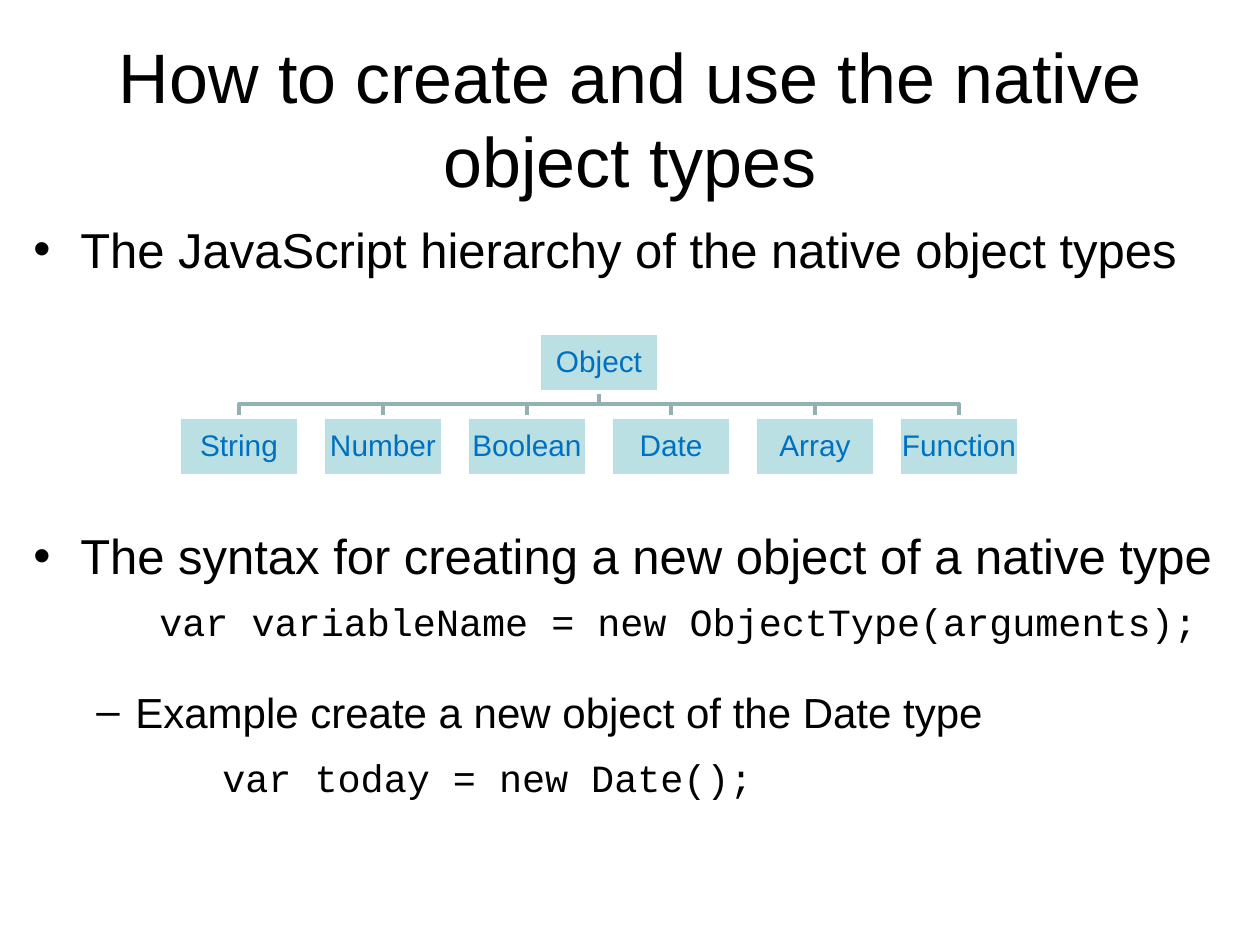
from dataclasses import dataclass

from lxml.etree import SubElement
from pptx import Presentation
from pptx.dml.color import RGBColor
from pptx.enum.shapes import MSO_SHAPE as Shape
from pptx.enum.text import MSO_ANCHOR as Anchor, PP_ALIGN as Align
from pptx.oxml.ns import qn
from pptx.util import Emu, Pt

PX = 914400 / 126
BLACK = RGBColor(0x00, 0x00, 0x00)
WHITE = RGBColor(0xFF, 0xFF, 0xFF)
TEAL = RGBColor(0xBB, 0xE0, 0xE3)
SLATE = RGBColor(0x93, 0xB1, 0xB3)
BLUE = RGBColor(0x00, 0x70, 0xC0)
SANS, MONO = "Arial", "Courier New"
NODE_W, NODE_H = 120, 59
ROOT_Y, CHILD_Y = 333, 417
CHILD_X, PITCH = 179, 144
TYPES = ("String", "Number", "Boolean", "Date", "Array", "Function")


@dataclass(frozen=True)
class Line:
    text: str
    size: int
    margin: int
    before: float
    font: str = SANS
    bullet: str = ""
    hanging: int = 0
    level: int = 0


@dataclass(frozen=True)
class Node:
    text: str
    x: int
    y: int

    @property
    def center(self) -> int:
        return self.x + NODE_W // 2


LINES = (
    Line("The JavaScript hierarchy of the native object types", 28, 47, 2.8,
         bullet="•", hanging=47),
    Line("The syntax for creating a new object of a native type", 28, 47, 141.5,
         bullet="•", hanging=47),
    Line("var variableName = new ObjectType(arguments);", 22, 126, 8, MONO),
    Line("Example create a new object of the Date type", 24, 102, 23.7,
         bullet="–", hanging=39, level=1),
    Line("var today = new Date();", 22, 189, 10, MONO, level=1),
)


def px(n: float) -> Emu:
    """Turn px into EMU."""
    return Emu(round(n * PX))


def add_run(p, text: str, size: int, color: RGBColor, font: str = SANS) -> None:
    """Add one styled run to a paragraph."""
    r = p.add_run()
    r.text = text
    r.font.size = Pt(size)
    r.font.name = font
    r.font.color.rgb = color


def add_box(s, x: int, y: int, w: int, h: int, anchor):
    """Add a wrapping text box and return its text frame."""
    tf = s.shapes.add_textbox(px(x), px(y), px(w), px(h)).text_frame
    tf.word_wrap = True
    tf.vertical_anchor = anchor
    return tf


def add_line(p, line: Line) -> None:
    """Fill a body paragraph with its indent, bullet and text."""
    p.level = line.level
    p.space_before = Pt(line.before)
    pPr = p._p.get_or_add_pPr()
    pPr.set("marL", str(px(line.margin)))
    pPr.set("indent", str(px(-line.hanging)))
    if line.bullet:
        SubElement(pPr, qn("a:buFont"), typeface=SANS)
        SubElement(pPr, qn("a:buChar"), char=line.bullet)
    else:
        SubElement(pPr, qn("a:buNone"))
    add_run(p, line.text, line.size, BLACK, line.font)


def add_branch(s, parent: Node, child: Node) -> None:
    """Draw the elbow line from a parent node to a child node."""
    top = parent.y + NODE_H
    mid = (top + child.y) / 2
    fb = s.shapes.build_freeform(parent.center, top, scale=PX)
    fb.add_line_segments(
        ((parent.center, mid), (child.center, mid), (child.center, child.y)),
        close=False)
    sp = fb.convert_to_shape()
    sp.shadow.inherit = False
    sp.fill.background()
    sp.line.color.rgb = SLATE
    sp.line.width = Pt(2)


def add_node(s, node: Node) -> None:
    """Draw a labelled node of the hierarchy."""
    sp = s.shapes.add_shape(
        Shape.RECTANGLE, px(node.x), px(node.y), px(NODE_W), px(NODE_H))
    sp.shadow.inherit = False
    sp.fill.solid()
    sp.fill.fore_color.rgb = TEAL
    sp.line.color.rgb = WHITE
    sp.line.width = Pt(2)
    tf = sp.text_frame
    tf.word_wrap = True
    tf.vertical_anchor = Anchor.MIDDLE
    tf.margin_left = tf.margin_right = tf.margin_top = tf.margin_bottom = px(1)
    p = tf.paragraphs[0]
    p.alignment = Align.CENTER
    p.line_spacing = 0.9
    add_run(p, node.text, 17, BLUE)


def main() -> None:
    """Build the slide and save it."""
    prs = Presentation()
    prs.slide_width, prs.slide_height = px(1260), px(945)
    s = prs.slides.add_slide(prs.slide_layouts[6])

    p = add_box(s, 63, 38, 1134, 158, Anchor.MIDDLE).paragraphs[0]
    p.alignment = Align.CENTER
    add_run(p, "How to create and use the native object types", 40, BLACK)

    tf = add_box(s, 21, 213, 1239, 624, Anchor.TOP)
    for i, line in enumerate(LINES):
        add_line(tf.add_paragraph() if i else tf.paragraphs[0], line)

    children = [Node(t, CHILD_X + i * PITCH, CHILD_Y) for i, t in enumerate(TYPES)]
    root = Node("Object", (children[0].x + children[-1].x) // 2, ROOT_Y)
    for child in children:
        add_branch(s, root, child)
    for node in (root, *children):
        add_node(s, node)

    prs.save("out.pptx")


if __name__ == "__main__":
    main()
